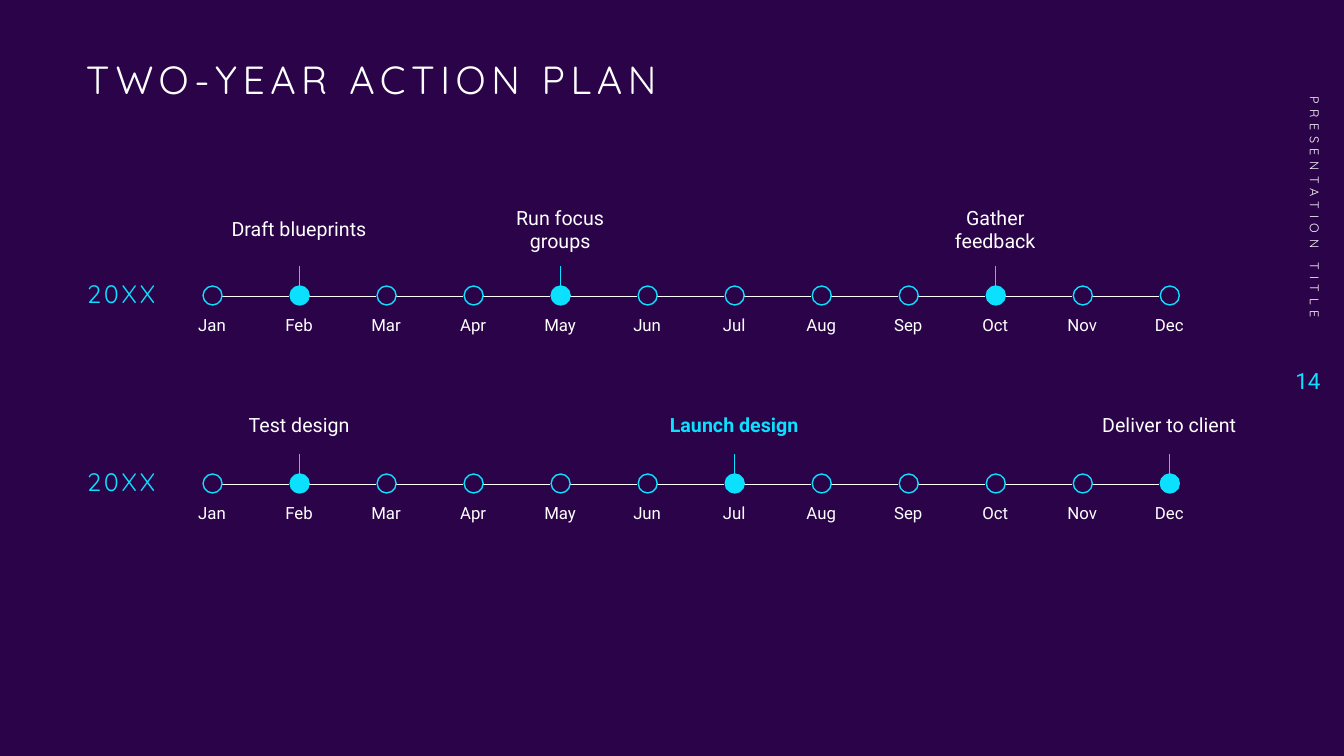
from pptx import Presentation
from pptx import util as u
from pptx.dml.color import RGBColor
from pptx.enum import shapes, text
from pptx.oxml.ns import qn
from lxml import etree

PX = u.Inches(1) / 100.8
LEFT, MID, RIGHT = text.PP_ALIGN.LEFT, text.PP_ALIGN.CENTER, text.PP_ALIGN.RIGHT
TOP, HALF = text.MSO_ANCHOR.TOP, text.MSO_ANCHOR.MIDDLE
WHITE, CYAN = RGBColor.from_string("FFFFFF"), RGBColor.from_string("0BE1FF")
HEAD, BODY = "Quicksand", "Roboto"
theme = {
    "back": RGBColor.from_string("2B0348"),
    "title": dict(name=HEAD, size=28, color=WHITE, gap=400, align=LEFT, anchor=TOP, lead=0.9),
    "year": dict(name=HEAD, size=18, color=CYAN, gap=200, align=MID, anchor=HALF, lead=0.9),
    "goal": dict(name=BODY, size=14, color=WHITE, gap=0, align=MID, anchor=HALF, lead=1),
    "month": dict(name=BODY, size=12, color=WHITE, gap=0, align=MID, anchor=TOP, lead=1.25),
    "side": dict(name=HEAD, size=9, color=WHITE, gap=400, align=RIGHT, anchor=HALF, lead=1),
    "page": dict(name=BODY, size=16, color=CYAN, gap=0, align=RIGHT, anchor=HALF, lead=1),
}
theme["launch"] = theme["goal"] | dict(color=CYAN, bold=True)

deck = Presentation()
deck.slide_width, deck.slide_height = u.Inches(13.33), u.Inches(7.5)
slide = deck.slides.add_slide(deck.slide_layouts[6])
slide.background.fill.solid()
slide.background.fill.fore_color.rgb = theme["back"]


def write(words, style, *area):
    look = theme[style]
    box = slide.shapes.add_textbox(*[round(n * PX) for n in area])
    frame = box.text_frame
    frame.word_wrap = True
    frame.vertical_anchor = look["anchor"]
    para = frame.paragraphs[0]
    para.alignment, para.line_spacing = look["align"], look["lead"]
    run = para.add_run()
    run.text = words
    values = {"name": look["name"], "size": u.Pt(look["size"]), "bold": look.get("bold", False)}
    for key, value in values.items():
        setattr(run.font, key, value)
    run.font.color.rgb = look["color"]
    if look["gap"]:
        run._r.get_or_add_rPr().set("spc", str(look["gap"]))
    return box


def draw(color, *ends):
    line = slide.shapes.add_connector(shapes.MSO_CONNECTOR.STRAIGHT, *[round(n * PX) for n in ends])
    line.line.color.rgb = color
    line.line.width = u.Pt(0.5)
    etree.SubElement(line._element.spPr, qn("a:effectLst"))


write("TWO-YEAR ACTION PLAN", "title", 76, 56, 1159, 81)
write("PRESENTATION TITLE", "side", 1162, 155, 305, 40).rotation = 90
write("14", "page", 1270, 349, 60, 64)

months = "Jan Feb Mar Apr May Jun Jul Aug Sep Oct Nov Dec".split()
years = [
    (296, 197, {"Feb": "Draft blueprints", "May": "Run focus groups", "Oct": "Gather feedback"}),
    (484, 393, {"Feb": "Test design", "Jul": "Launch design", "Dec": "Deliver to client"}),
]
for y, high, goals in years:
    write("20XX", "year", 55, y - 28, 132, 55)
    for i, month in enumerate(months):
        x = 212 + 87 * i
        if month != months[-1]:
            draw(WHITE, x + 10, y, x + 77, y)
        dot = slide.shapes.add_shape(
            shapes.MSO_SHAPE.OVAL, *[round(n * PX) for n in (x - 9, y - 10, 19, 19)])
        dot.shadow.inherit = False
        dot.line.color.rgb = CYAN
        dot.line.width = u.Pt(1)
        dot.fill.background()
        write(month, "month", x - 27, y + 9, 54, 100)
        if month in goals:
            dot.fill.solid()
            dot.fill.fore_color.rgb = CYAN
            draw(CYAN, x, y - 30, x, y + 8)
            style = "launch" if goals[month] == "Launch design" else "goal"
            write(goals[month], style, x - 79, high, 158, 64)

deck.save("out.pptx")
